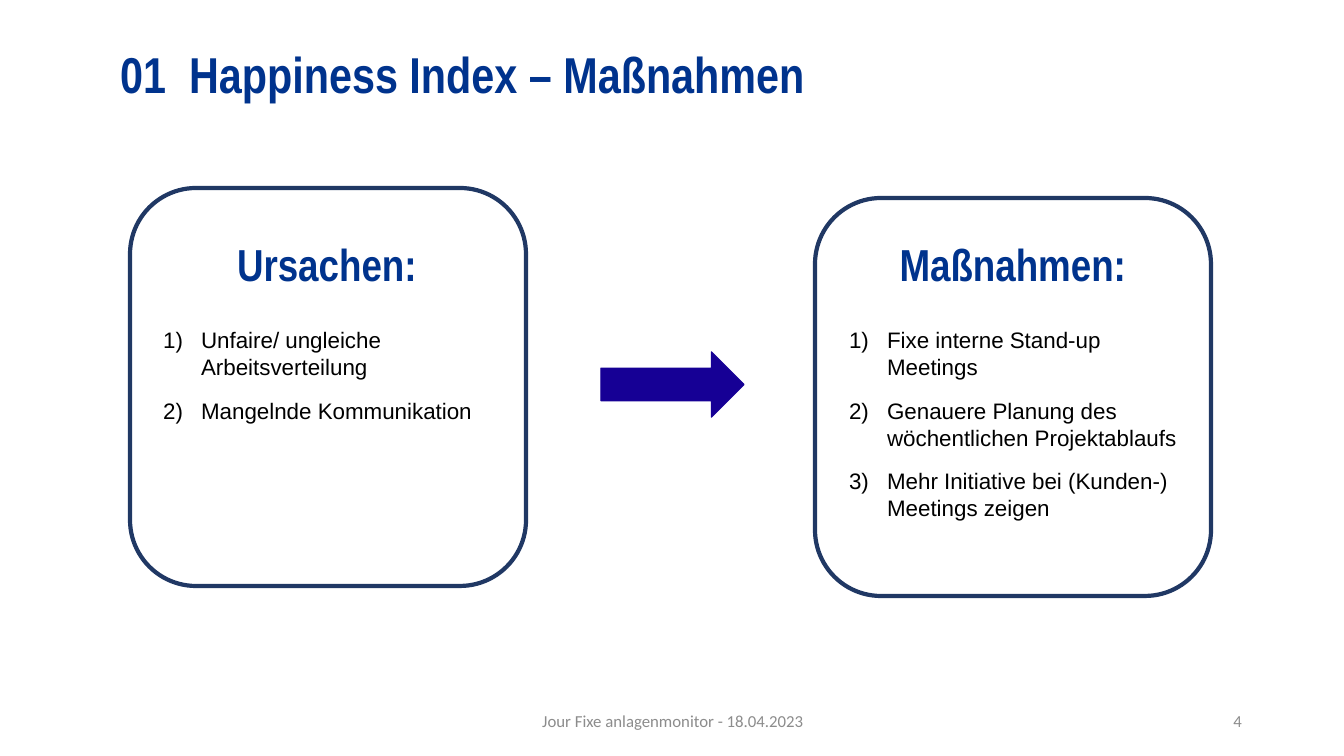
import pptx
import pptx.util
import pptx.dml.color
import pptx.enum.shapes
import pptx.enum.text
import lxml.etree

TITLE = "01\tHappiness Index – Maßnahmen"
CARDS = [
    {"head": "Ursachen:", "frame": (130, 188), "text": (153, 238),
     "items": ["Unfaire/ ungleiche Arbeitsverteilung", "Mangelnde Kommunikation"]},
    {"head": "Maßnahmen:", "frame": (815, 198), "text": (839, 238),
     "items": ["Fixe interne Stand-up Meetings",
               "Genauere Planung des wöchentlichen Projektablaufs",
               "Mehr Initiative bei (Kunden-) Meetings zeigen"]},
]
NOTES = [("Jour Fixe anlagenmonitor - 18.04.2023", (446, 701, 454, 40), "CENTER"),
         ("4", (950, 701, 302, 40), "RIGHT")]
ARROW = (601, 352, 143, 65)
BLUE, NAVY, INDIGO, GREY, BLACK = "00338D", "203864", "160095", "8C8C8C", "000000"
SCALE = 914400 / 100.8
Pt = pptx.util.Pt
Align = pptx.enum.text.PP_ALIGN
Anchor = pptx.enum.text.MSO_ANCHOR
Kind = pptx.enum.shapes.MSO_SHAPE


def px(n):
    return pptx.util.Emu(round(n * SCALE))


def color(code):
    return pptx.dml.color.RGBColor.from_string(code)


def place(shape, box):
    shape.left, shape.top, shape.width, shape.height = map(px, box)


def setup(shape, anchor):
    frame = shape.text_frame
    frame.word_wrap = True
    frame.auto_size = pptx.enum.text.MSO_AUTO_SIZE.NONE
    frame.vertical_anchor = anchor
    return frame


def add_run(para, text, size, face, tint, bold=False):
    run = para.add_run()
    run.text = text
    font = run.font
    font.size, font.name, font.bold = Pt(size), face, bold
    font.color.rgb = color(tint)


def mark(para, tag, indent=0, **attrs):
    props = para._p.get_or_add_pPr()
    props.set("marL", str(px(indent)))
    props.set("indent", str(-px(indent)))
    lxml.etree.SubElement(props, pptx.oxml.ns.qn(tag), **attrs)


def add_shape(kind, box, line, width, fill=None):
    shape = slide.shapes.add_shape(kind, *map(px, box))
    shape.shadow.inherit = False
    shape.line.color.rgb = color(line)
    shape.line.width = Pt(width)
    if fill:
        shape.fill.solid()
        shape.fill.fore_color.rgb = color(fill)
    else:
        shape.fill.background()


def add_card(card, holder):
    add_shape(Kind.ROUNDED_RECTANGLE, (*card["frame"], 396, 398), NAVY, 3)
    place(holder, (*card["text"], 348, 340))
    frame = setup(holder, Anchor.TOP)
    head = frame.paragraphs[0]
    head.alignment = Align.CENTER
    head.line_spacing = 0.9
    head.space_before, head.space_after = Pt(0), Pt(19)
    mark(head, "a:buNone")
    add_run(head, card["head"], 32, "Arial Narrow", BLUE, True)
    for item in card["items"]:
        para = frame.add_paragraph()
        para.line_spacing = 1.0
        para.space_before = para.space_after = Pt(6)
        mark(para, "a:buFont", 38, typeface="+mj-lt")
        mark(para, "a:buAutoNum", 38, type="arabicParenR")
        add_run(para, item, 16, "Arial", BLACK)


deck = pptx.Presentation()
deck.slide_width, deck.slide_height = px(1344), px(756)
slide = deck.slides.add_slide(deck.slide_layouts[3])

title = slide.shapes.title
place(title, (110, 48, 1125, 58))
para = setup(title, Anchor.MIDDLE).paragraphs[0]
para.alignment = Align.LEFT
para.line_spacing = 0.9
mark(para, "a:buNone", 69)
add_run(para, TITLE, 36, "Arial Narrow", BLUE, True)

for index, card in enumerate(CARDS, 1):
    add_card(card, slide.placeholders[index])

add_shape(Kind.RIGHT_ARROW, ARROW, INDIGO, 1, INDIGO)

for text, box, align in NOTES:
    note = slide.shapes.add_textbox(*map(px, box))
    para = setup(note, Anchor.MIDDLE).paragraphs[0]
    para.alignment = Align[align]
    add_run(para, text, 12, "Calibri", GREY)

deck.save("out.pptx")
